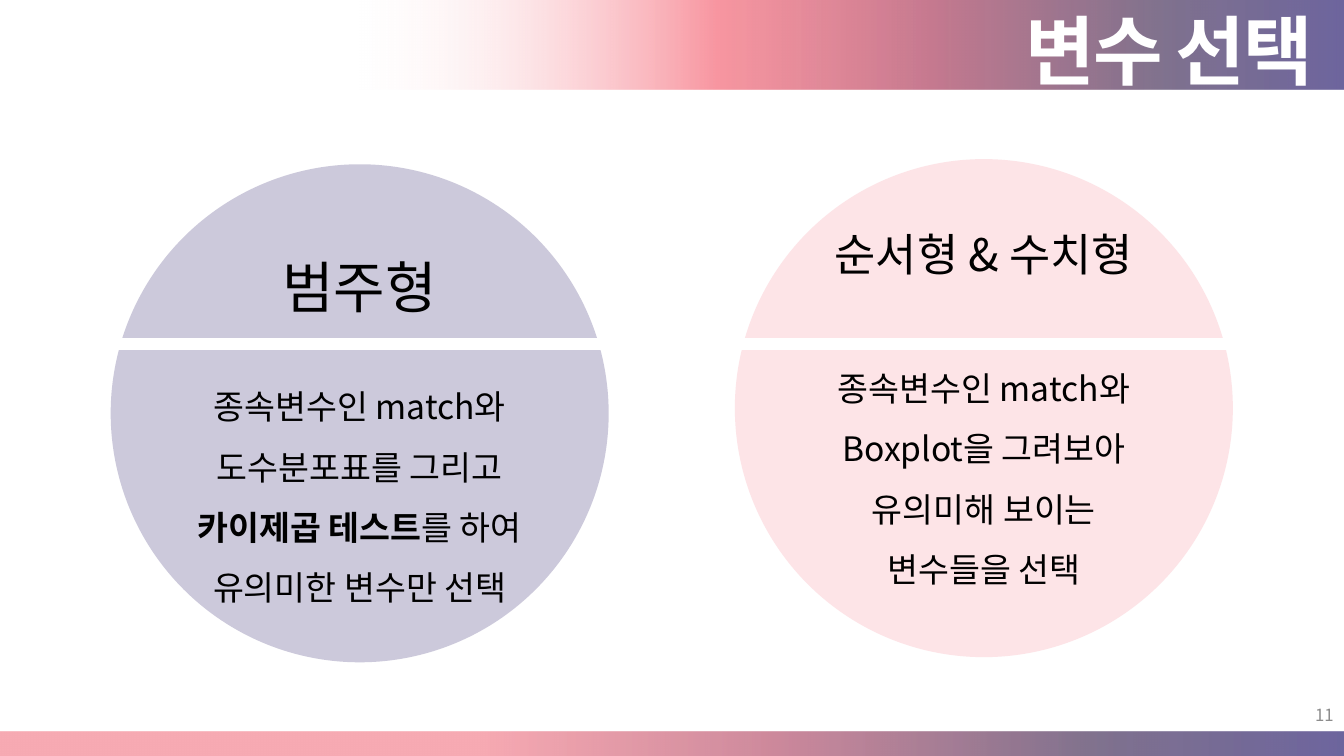
import pptx
import pptx.util
import pptx.dml.color
import pptx.enum.shapes
import pptx.enum.text
import pptx.oxml
import pptx.oxml.ns
from dataclasses import dataclass

Cm = pptx.util.Cm
Pt = pptx.util.Pt
Shapes = pptx.enum.shapes.MSO_SHAPE
Align = pptx.enum.text.PP_ALIGN
Anchor = pptx.enum.text.MSO_ANCHOR

TITLE = "변수 선택"
PAGE_NUMBER = "11"
CIRCLES = [
    {
        "left": 2.79, "top": 4.14, "color": "A09ABC", "opacity": 53,
        "heading": "범주형", "heading_size": 40, "heading_spacing": 1.5, "gap": 33,
        "lines": [
            [("종속변수인 match와", False)],
            [("도수분포표를 그리고", False)],
            [("카이제곱 테스트", True), ("를 하여", False)],
            [("유의미한 변수만 선택", False)],
        ],
    },
    {
        "left": 18.52, "top": 4.01, "color": "FDE4E7", "opacity": 100,
        "heading": "순서형 & 수치형", "heading_size": 32, "heading_spacing": 1.0, "gap": 48,
        "lines": [
            [("종속변수인 match와", False)],
            [("Boxplot을 그려보아", False)],
            [("유의미해 보이는", False)],
            [("변수들을 선택", False)],
        ],
    },
]
BARS = [
    ((9.07, 0, 24.8, 2.26),
     [(0, "5C5393", 89), (19, "6C5B7B", 85), (42, "C06C84", 90),
      (64, "F67280", 73), (100, "FFFFFF", 8)]),
    ((0, 18.44, 33.87, 0.71),
     [(0, "5C5393", 89), (19, "6C5B7B", 85), (42, "C06C84", 80), (64, "F5919C", 77)]),
]
CIRCLE_DIAMETER = 12.55
DIVIDER_BOX = (2.13, 8.53, 29.9, 0.28)
TITLE_BOX = (25.6, -0.03, 7.8, 2.57)
NUMBER_BOX = (26.24, 17.5, 7.62, 1.02)


@dataclass(frozen=True)
class Theme:
    font: str = "Noto Sans CJK KR"
    white: str = "FFFFFF"
    black: str = "000000"
    grey: str = "8C8C8C"
    title_size: int = 54
    body_size: int = 24
    number_size: int = 12
    line_spacing: float = 1.5


THEME = Theme()


def rgb(color):
    return pptx.dml.color.RGBColor.from_string(color)


def box(values):
    return [Cm(value) for value in values]


def color_xml(color, opacity):
    return f'<a:srgbClr val="{color}"><a:alpha val="{opacity * 1000}"/></a:srgbClr>'


def set_fill(shape, xml):
    shape.fill.background()
    properties = shape._element.spPr
    empty_fill = properties.find(pptx.oxml.ns.qn("a:noFill"))
    properties.replace(empty_fill, pptx.oxml.parse_xml(xml))


def add_plain_shape(slide, kind, values):
    shape = slide.shapes.add_shape(kind, *box(values))
    shape.shadow.inherit = False
    shape.line.fill.background()
    return shape


def format_paragraph(paragraph, size, color, align, bold=None):
    paragraph.alignment = align
    font = paragraph.font
    font.name, font.size, font.bold = THEME.font, Pt(size), bold
    font.color.rgb = rgb(color)
    east_asian = pptx.oxml.parse_xml(
        f'<a:ea {pptx.oxml.ns.nsdecls("a")} typeface="{THEME.font}"/>')
    font._element.find(pptx.oxml.ns.qn("a:latin")).addnext(east_asian)


def add_bar(slide, values, stops):
    bar = add_plain_shape(slide, Shapes.RECTANGLE, values)
    stop_xml = "".join(
        f'<a:gs pos="{position * 1000}">{color_xml(color, opacity)}</a:gs>'
        for position, color, opacity in stops)
    set_fill(bar, f'<a:gradFill {pptx.oxml.ns.nsdecls("a")} rotWithShape="1">'
                  f'<a:gsLst>{stop_xml}</a:gsLst><a:lin ang="10800000" scaled="0"/></a:gradFill>')


def add_title(slide):
    title = slide.shapes.title
    title.left, title.top, title.width, title.height = box(TITLE_BOX)
    frame = title.text_frame
    frame.text = TITLE
    frame.word_wrap = False
    frame.auto_size = pptx.enum.text.MSO_AUTO_SIZE.SHAPE_TO_FIT_TEXT
    frame.vertical_anchor = Anchor.TOP
    paragraph = frame.paragraphs[0]
    format_paragraph(paragraph, THEME.title_size, THEME.white, Align.LEFT, True)
    paragraph.font._element.set("spc", "-150")
    slide.shapes._spTree.append(title._element)


def add_page_number(slide):
    frame = slide.shapes.add_textbox(*box(NUMBER_BOX)).text_frame
    frame.text = PAGE_NUMBER
    frame.word_wrap = True
    frame.vertical_anchor = Anchor.MIDDLE
    format_paragraph(frame.paragraphs[0], THEME.number_size, THEME.grey, Align.RIGHT)


def add_circle(slide, content):
    circle = add_plain_shape(
        slide, Shapes.FLOWCHART_CONNECTOR,
        (content["left"], content["top"], CIRCLE_DIAMETER, CIRCLE_DIAMETER))
    set_fill(circle, f'<a:solidFill {pptx.oxml.ns.nsdecls("a")}>'
                     f'{color_xml(content["color"], content["opacity"])}</a:solidFill>')
    frame = circle.text_frame
    frame.word_wrap = True
    frame.vertical_anchor = Anchor.MIDDLE
    heading = frame.paragraphs[0]
    heading.text = content["heading"]
    heading.line_spacing = content["heading_spacing"]
    heading.space_after = Pt(content["gap"])
    format_paragraph(heading, content["heading_size"], THEME.black, Align.CENTER)
    for line in content["lines"]:
        paragraph = frame.add_paragraph()
        paragraph.line_spacing = THEME.line_spacing
        format_paragraph(paragraph, THEME.body_size, THEME.black, Align.CENTER)
        for text, bold in line:
            run = paragraph.add_run()
            run.text = text
            run.font.bold = bold


def add_divider(slide):
    divider = add_plain_shape(slide, Shapes.RECTANGLE, DIVIDER_BOX)
    divider.fill.solid()
    divider.fill.fore_color.rgb = rgb(THEME.white)
    divider.line.color.rgb = rgb(THEME.white)
    divider.line.width = Pt(1)


def main():
    presentation = pptx.Presentation()
    presentation.slide_width, presentation.slide_height = box((33.87, 19.05))
    slide = presentation.slides.add_slide(presentation.slide_layouts.get_by_name("Title Only"))
    for values, stops in BARS:
        add_bar(slide, values, stops)
    add_title(slide)
    add_page_number(slide)
    for content in CIRCLES:
        add_circle(slide, content)
    add_divider(slide)
    presentation.save("out.pptx")


if __name__ == "__main__":
    main()
